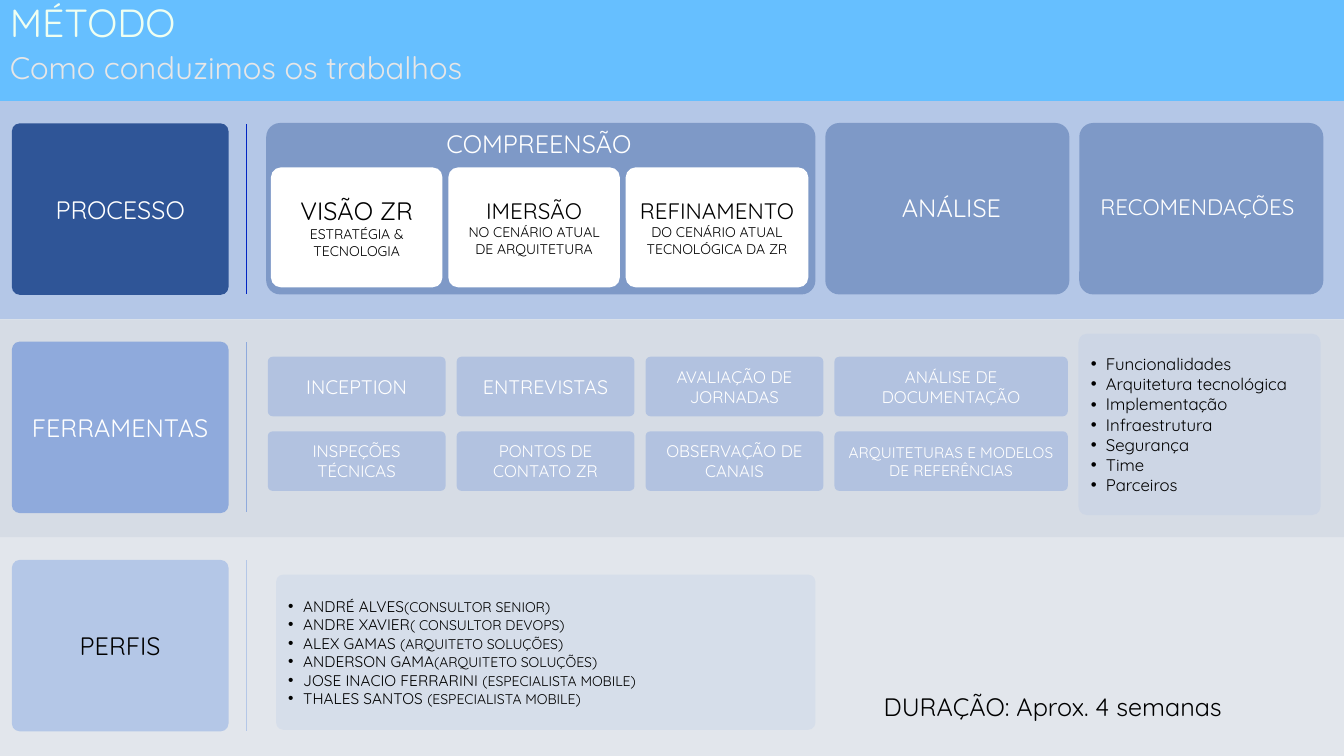
from dataclasses import dataclass

from lxml import etree
from pptx import Presentation
from pptx.dml.color import RGBColor
from pptx.enum.shapes import MSO_CONNECTOR, MSO_SHAPE
from pptx.enum.text import MSO_ANCHOR, PP_ALIGN
from pptx.oxml.ns import qn
from pptx.util import Cm, Pt

RECT, ROUND = MSO_SHAPE.RECTANGLE, MSO_SHAPE.ROUNDED_RECTANGLE
STRAIGHT = MSO_CONNECTOR.STRAIGHT
LEFT, CENTER = PP_ALIGN.LEFT, PP_ALIGN.CENTER
TOP, MIDDLE = MSO_ANCHOR.TOP, MSO_ANCHOR.MIDDLE


@dataclass(frozen=True)
class Theme:
    font: str = "Quicksand"
    header: str = "66BFFF"
    title: str = "EFFFF1"
    subtitle: str = "E7E6E6"
    navy: str = "2F5597"
    blue: str = "8FAADC"
    pale: str = "B4C7E7"
    grey: str = "D6DCE5"
    rule: str = "0024C2"
    white: str = "FFFFFF"
    black: str = "000000"
    title_size: float = 28
    subtitle_size: float = 22.2
    label: float = 18
    heading: float = 16
    tool: float = 14
    body: float = 12
    small: float = 11
    detail: float = 10
    tight: float = 0.046
    soft: float = 0.081
    bullet_indent: float = 0.38


THEME = Theme()
WIDTH, HEIGHT = 33.87, 19.05
HEADER_H, BAND_H = 2.55, 5.5


def write(shape, paragraphs, color, align=LEFT, anchor=TOP, wrap=True, bullets=False, spacing=None):
    frame = shape.text_frame
    for name, value in {"word_wrap": wrap, "vertical_anchor": anchor}.items():
        setattr(frame, name, value)
    for index, runs in enumerate(paragraphs):
        paragraph = frame.add_paragraph() if index else frame.paragraphs[0]
        for name, value in {"alignment": align, **(spacing or {})}.items():
            setattr(paragraph, name, value)
        if bullets:
            props = paragraph._p.get_or_add_pPr()
            props.set("marL", str(Cm(THEME.bullet_indent)))
            props.set("indent", str(-Cm(THEME.bullet_indent)))
            etree.SubElement(props, qn("a:buFont")).set("typeface", "Arial")
            etree.SubElement(props, qn("a:buChar")).set("char", "•")
        for text, size in runs:
            run = paragraph.add_run()
            run.text = text
            for name, value in {"name": THEME.font, "size": Pt(size)}.items():
                setattr(run.font, name, value)
            run.font.color.rgb = RGBColor.from_string(color)


def block(slide, box, fill, alpha=100, radius=None):
    shape = slide.shapes.add_shape(RECT if radius is None else ROUND, *map(Cm, box))
    shape.shadow.inherit = False
    shape.line.fill.background()
    shape.fill.solid()
    shape.fill.fore_color.rgb = RGBColor.from_string(fill)
    if alpha < 100:
        color = shape.fill._xPr.find(qn("a:solidFill"))[0]
        etree.SubElement(color, qn("a:alpha")).set("val", str(alpha * 1000))
    if radius is not None:
        shape.adjustments[0] = radius
    return shape


def caption(slide, box, text, size, color, **layout):
    write(slide.shapes.add_textbox(*map(Cm, box)), [[(text, size)]], color, **layout)


def header(slide, box):
    left, top, width, height = box
    block(slide, box, THEME.header)
    caption(slide, (left, top, 25.4, 1.27), "MÉTODO", THEME.title_size, THEME.title,
            anchor=MIDDLE, spacing={"line_spacing": 0.9})
    caption(slide, (left, top + 1.27, 25.4, 1.02), "Como conduzimos os trabalhos",
            THEME.subtitle_size, THEME.subtitle,
            spacing={"line_spacing": 0.8, "space_before": Pt(10)})


def band(slide, box, name, fill, alpha, side_fill, name_color, rule_color):
    left, top, width, height = box
    block(slide, box, fill, alpha)
    side = block(slide, (left + 0.3, top + 0.56, 5.46, 4.32), side_fill, radius=THEME.tight)
    write(side, [[(name, THEME.label)]], name_color, CENTER, MIDDLE)
    x = left + 6.2
    divider = slide.shapes.add_connector(STRAIGHT, *map(Cm, (x, top + 0.57, x, top + 4.86)))
    divider.line.width = Pt(0.5)
    divider.line.color.rgb = RGBColor.from_string(rule_color)
    etree.SubElement(divider._element.spPr, qn("a:effectLst"))


def process(slide, box):
    left, top, width, height = box
    phases = [
        (6.71, 13.84, "COMPREENSÃO", THEME.label, 11, 0.57, 5.23),
        (20.8, 6.15, "ANÁLISE", THEME.label, 22.48, 2.17, 3.05),
        (27.2, 6.15, "RECOMENDAÇÕES", THEME.heading, 27.48, 2.2, 5.49),
    ]
    for x, phase_w, name, size, name_x, name_y, name_w in phases:
        block(slide, (left + x, top + 0.55, phase_w, 4.32), THEME.navy, 40, THEME.soft)
        caption(slide, (left + name_x, top + name_y, name_w, 1.09), name, size, THEME.white, wrap=False)
    steps = [
        ("VISÃO ZR", THEME.label, "ESTRATÉGIA & TECNOLOGIA", 4.32),
        ("IMERSÃO", THEME.heading, "NO CENÁRIO ATUAL DE ARQUITETURA", 4.32),
        ("REFINAMENTO", THEME.heading, "DO CENÁRIO ATUAL TECNOLÓGICA DA ZR", 4.6),
    ]
    for index, (name, size, detail, step_w) in enumerate(steps):
        card = block(slide, (left + 6.83 + 4.47 * index, top + 1.67, step_w, 3.02),
                     THEME.white, radius=THEME.soft)
        write(card, [[(name, size)], [(detail, THEME.detail)]], THEME.black, CENTER, MIDDLE)


def bullet_panel(slide, box, paragraphs):
    panel = block(slide, box, THEME.pale, 25, THEME.tight)
    write(panel, paragraphs, THEME.black, anchor=MIDDLE, bullets=True)


def tools(slide, box):
    left, top, width, height = box
    rows = [
        [("INCEPTION", THEME.tool), ("ENTREVISTAS", THEME.tool),
         ("AVALIAÇÃO DE JORNADAS", THEME.body), ("ANÁLISE DE DOCUMENTAÇÃO", THEME.body)],
        [("INSPEÇÕES TÉCNICAS", THEME.body), ("PONTOS DE CONTATO ZR", THEME.body),
         ("OBSERVAÇÃO DE CANAIS", THEME.body), ("ARQUITETURAS E MODELOS DE REFERÊNCIAS", THEME.small)],
    ]
    for row, names in enumerate(rows):
        for column, (name, size) in enumerate(names):
            tool_w = 5.88 if column == 3 else 4.48
            tool = block(slide, (left + 6.75 + 4.76 * column, top + 0.94 + 1.88 * row, tool_w, 1.5),
                         THEME.blue, 50, THEME.soft)
            write(tool, [[(name, size)]], THEME.white, CENTER, MIDDLE)
    topics = ["Funcionalidades", "Arquitetura tecnológica", "Implementação", "Infraestrutura",
              "Segurança", "Time", "Parceiros"]
    bullet_panel(slide, (left + 27.18, top + 0.36, 6.1, 4.57),
                 [[(topic, THEME.body)] for topic in topics])


def profiles(slide, box):
    left, top, width, height = box
    people = [
        ("ANDRÉ ALVES", "(CONSULTOR SENIOR)"),
        ("ANDRE XAVIER", "( CONSULTOR DEVOPS)"),
        ("ALEX GAMAS ", "(ARQUITETO SOLUÇÕES)"),
        ("ANDERSON GAMA", "(ARQUITETO SOLUÇÕES)"),
        ("JOSE INACIO FERRARINI ", "(ESPECIALISTA MOBILE)"),
        ("THALES SANTOS ", "(ESPECIALISTA MOBILE)"),
    ]
    bullet_panel(slide, (left + 6.96, top + 0.93, 13.59, 3.91),
                 [[(person, THEME.small), (role, THEME.detail)] for person, role in people])
    caption(slide, (left + 22.02, top + 3.75, 10.9, 1.09), "DURAÇÃO: Aprox. 4 semanas",
            THEME.label, THEME.black)


def main():
    deck = Presentation()
    deck.slide_width, deck.slide_height = Cm(WIDTH), Cm(HEIGHT)
    slide = deck.slides.add_slide(deck.slide_layouts[6])
    header(slide, (0, 0, WIDTH, HEADER_H))
    bands = [
        (process, "PROCESSO", THEME.pale, 100, THEME.navy, THEME.white, THEME.rule),
        (tools, "FERRAMENTAS", THEME.grey, 100, THEME.blue, THEME.white, THEME.blue),
        (profiles, "PERFIS", THEME.grey, 70, THEME.pale, THEME.black, THEME.pale),
    ]
    for index, (content, *style) in enumerate(bands):
        box = (0, HEADER_H + BAND_H * index, WIDTH, BAND_H)
        band(slide, box, *style)
        content(slide, box)
    deck.save("out.pptx")


if __name__ == "__main__":
    main()
